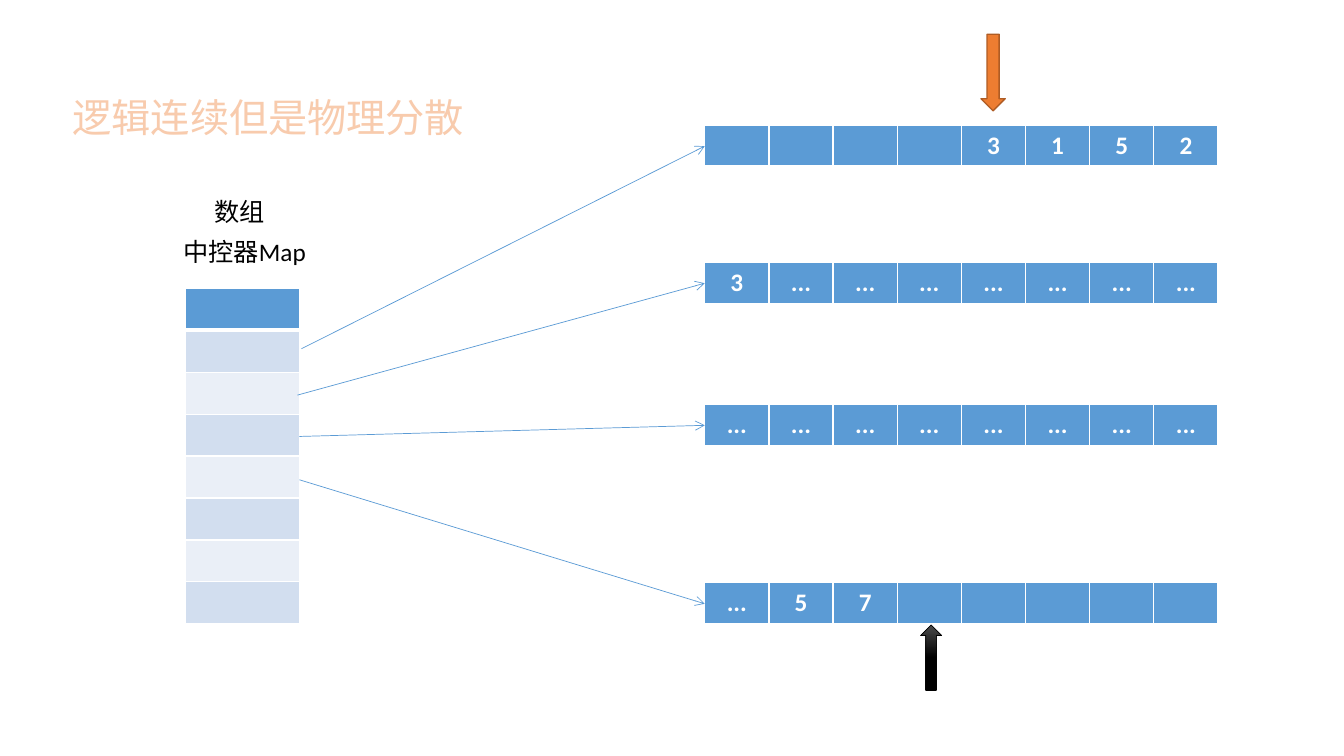
import pptx
import pptx.dml.color
import pptx.enum.shapes
import pptx.enum.text
import pptx.oxml
import pptx.oxml.ns
import pptx.util
from pptx.util import Inches

TITLE = "逻辑连续但是物理分散"
ARRAY_LABEL = "数组"
MAP_LABEL = "中控器Map"
MAP_ROWS = 8
BUFFERS = [
    {"top": 1.24, "values": ["", "", "", "", "3", "1", "5", "2"], "pointer": (2.99, 3.46)},
    {"top": 2.6, "values": ["3"] + ["..."] * 7, "pointer": (2.95, 3.92)},
    {"top": 4.01, "values": ["..."] * 8, "pointer": (2.97, 4.33)},
    {"top": 5.78, "values": ["...", "5", "7", "", "", "", "", ""], "pointer": (2.97, 4.76)},
]
BUFFER_LEFT, BUFFER_WIDTH, ROW_HEIGHT = 6.99, 5.09, 0.42
MAP_LEFT, MAP_TOP, MAP_WIDTH, MAP_HEIGHT = 1.84, 2.86, 1.13, 3.33

THEME = {
    "font": "Calibri", "title_size": 28, "body_size": 18,
    "title": "F8CBAD", "title_outline": "ED7D31", "text": "000000", "white": "FFFFFF",
    "blue": "5B9BD5", "bands": ["D2DEEF", "EAEFF7"],
    "orange": "ED7D31", "orange_line": "AF5C24", "gray": "4B4B4B", "black": "000000",
}
ALIGN = pptx.enum.text.PP_ALIGN
SHAPE = pptx.enum.shapes.MSO_SHAPE


def rgb(value):
    return pptx.dml.color.RGBColor.from_string(value)


def write_text(frame, text, size=THEME["body_size"], color=THEME["text"], bold=False, align=ALIGN.LEFT):
    paragraph = frame.paragraphs[0]
    paragraph.alignment = align
    run = paragraph.add_run()
    run.text = text
    run.font.name = THEME["font"]
    run.font.size = pptx.util.Pt(size)
    run.font.bold = bold
    run.font.color.rgb = rgb(color)
    return run


def line_xml(tag, color, points):
    return pptx.oxml.parse_xml(
        f'<a:{tag} {pptx.oxml.ns.nsdecls("a")} w="{int(points * 12700)}">'
        f'<a:solidFill><a:srgbClr val="{color}"/></a:solidFill></a:{tag}>'
    )


def format_cell(cell, fill, top=1, bottom=1):
    properties = cell._tc.get_or_add_tcPr()
    for tag, points in (("lnL", 1), ("lnR", 1), ("lnT", top), ("lnB", bottom)):
        properties.append(line_xml(tag, THEME["white"], points))
    cell.fill.solid()
    cell.fill.fore_color.rgb = rgb(fill)


def add_table(slide, rows, columns, left, top, width, height):
    table = slide.shapes.add_table(
        rows, columns, Inches(left), Inches(top), Inches(width), Inches(height)
    ).table
    for column in table.columns:
        column.width = Inches(width / columns)
    for row in table.rows:
        row.height = Inches(height / rows)
    return table


def add_buffer(slide, top, values):
    table = add_table(slide, 1, len(values), BUFFER_LEFT, top, BUFFER_WIDTH, ROW_HEIGHT)
    for index, value in enumerate(values):
        cell = table.cell(0, index)
        format_cell(cell, THEME["blue"], bottom=3)
        if value:
            write_text(cell.text_frame, value, color=THEME["white"], bold=True, align=ALIGN.CENTER)


def add_map(slide):
    table = add_table(slide, MAP_ROWS, 1, MAP_LEFT, MAP_TOP, MAP_WIDTH, MAP_HEIGHT)
    format_cell(table.cell(0, 0), THEME["blue"], bottom=3)
    for row in range(1, MAP_ROWS):
        format_cell(table.cell(row, 0), THEME["bands"][(row - 1) % 2], top=3 if row == 1 else 1)


def add_pointer(slide, start, end):
    connector = slide.shapes.add_connector(
        pptx.enum.shapes.MSO_CONNECTOR.STRAIGHT, *map(Inches, start + end)
    )
    connector.line.color.rgb = rgb(THEME["blue"])
    connector.line.width = pptx.util.Pt(0.5)
    namespace = pptx.oxml.ns.nsdecls("a")
    connector.line._get_or_add_ln().append(pptx.oxml.parse_xml(f'<a:tailEnd {namespace} type="arrow"/>'))
    connector._element.spPr.append(pptx.oxml.parse_xml(f"<a:effectLst {namespace}/>"))


def add_block_arrow(slide, kind, box, line_color, line_width):
    shape = slide.shapes.add_shape(kind, *map(Inches, box))
    shape.shadow.inherit = False
    shape.line.color.rgb = rgb(line_color)
    shape.line.width = pptx.util.Pt(line_width)
    return shape


def add_label(slide, text, box, align=ALIGN.LEFT):
    frame = slide.shapes.add_textbox(*map(Inches, box)).text_frame
    frame.word_wrap = True
    write_text(frame, text, align=align)


def add_title(slide):
    title = slide.shapes.title
    title.left, title.top, title.width, title.height = map(Inches, (0.62, 0.88, 4.52, 0.57))
    title.text_frame.vertical_anchor = pptx.enum.text.MSO_ANCHOR.TOP
    title.text_frame.word_wrap = True
    title.text_frame.auto_size = pptx.enum.text.MSO_AUTO_SIZE.NONE
    run = write_text(title.text_frame, TITLE, size=THEME["title_size"], color=THEME["title"])
    run.font._element.insert(0, line_xml("ln", THEME["title_outline"], 1.75))


def main():
    presentation = pptx.Presentation()
    presentation.slide_width, presentation.slide_height = Inches(13.33), Inches(7.5)
    slide = presentation.slides.add_slide(presentation.slide_layouts[5])
    add_title(slide)

    for buffer in BUFFERS:
        add_buffer(slide, buffer["top"], buffer["values"])

    start_arrow = add_block_arrow(slide, SHAPE.DOWN_ARROW, (9.73, 0.34, 0.24, 0.76), THEME["orange_line"], 1)
    start_arrow.fill.solid()
    start_arrow.fill.fore_color.rgb = rgb(THEME["orange"])

    end_arrow = add_block_arrow(slide, SHAPE.UP_ARROW, (9.13, 6.2, 0.21, 0.65), THEME["black"], 0.5)
    end_arrow.fill.gradient()
    end_arrow.fill.gradient_angle = 270
    for stop, color, position in zip(end_arrow.fill.gradient_stops, (THEME["gray"], THEME["black"]), (0, 0.5)):
        stop.color.rgb = rgb(color)
        stop.position = position

    add_label(slide, MAP_LABEL, (1.72, 2.3, 2.09, 0.4))
    add_label(slide, ARRAY_LABEL, (1.8, 1.9, 1.16, 0.4), align=ALIGN.CENTER)
    add_map(slide)

    for buffer in BUFFERS:
        add_pointer(slide, buffer["pointer"], (BUFFER_LEFT, buffer["top"] + ROW_HEIGHT / 2))

    presentation.save("out.pptx")


if __name__ == "__main__":
    main()
